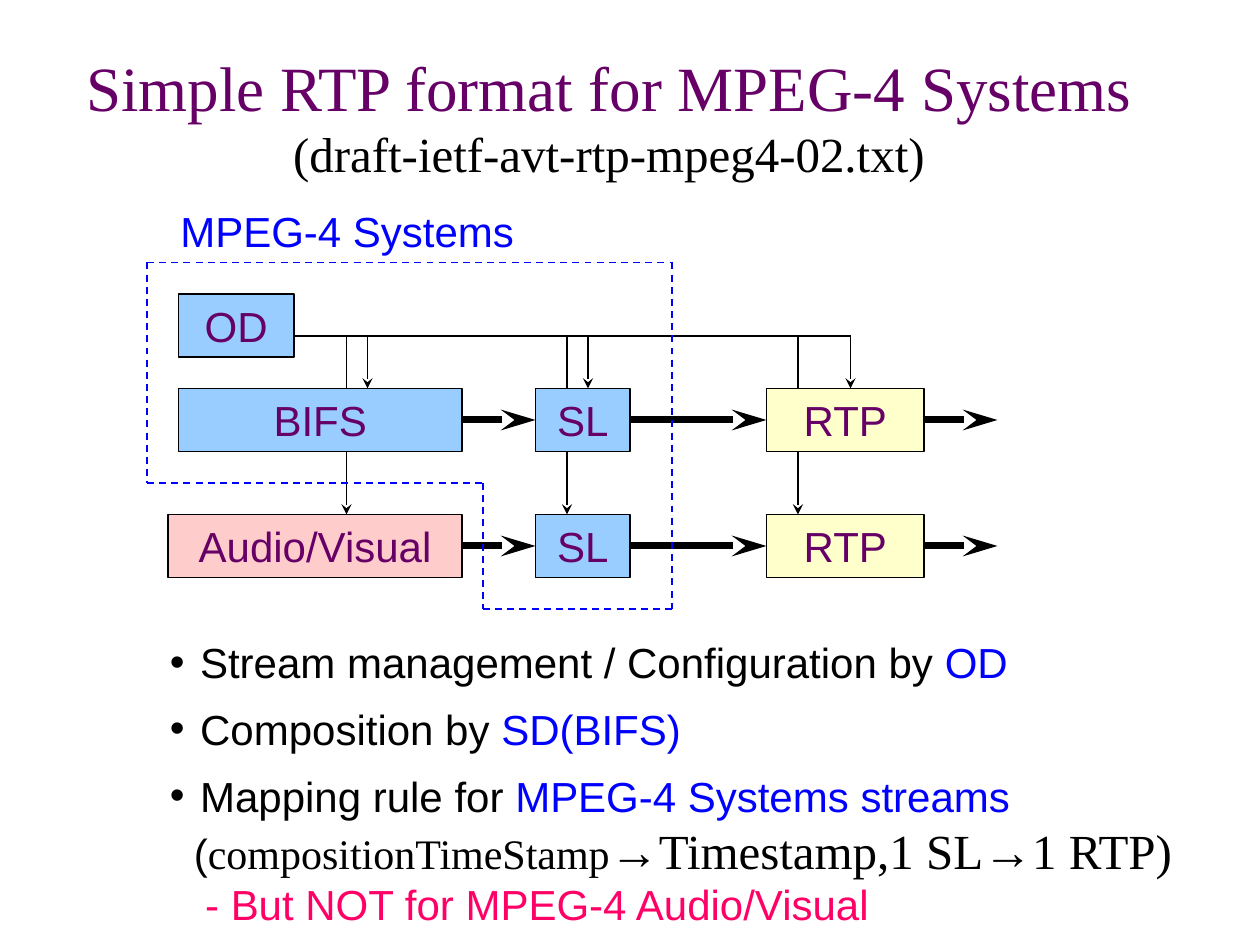
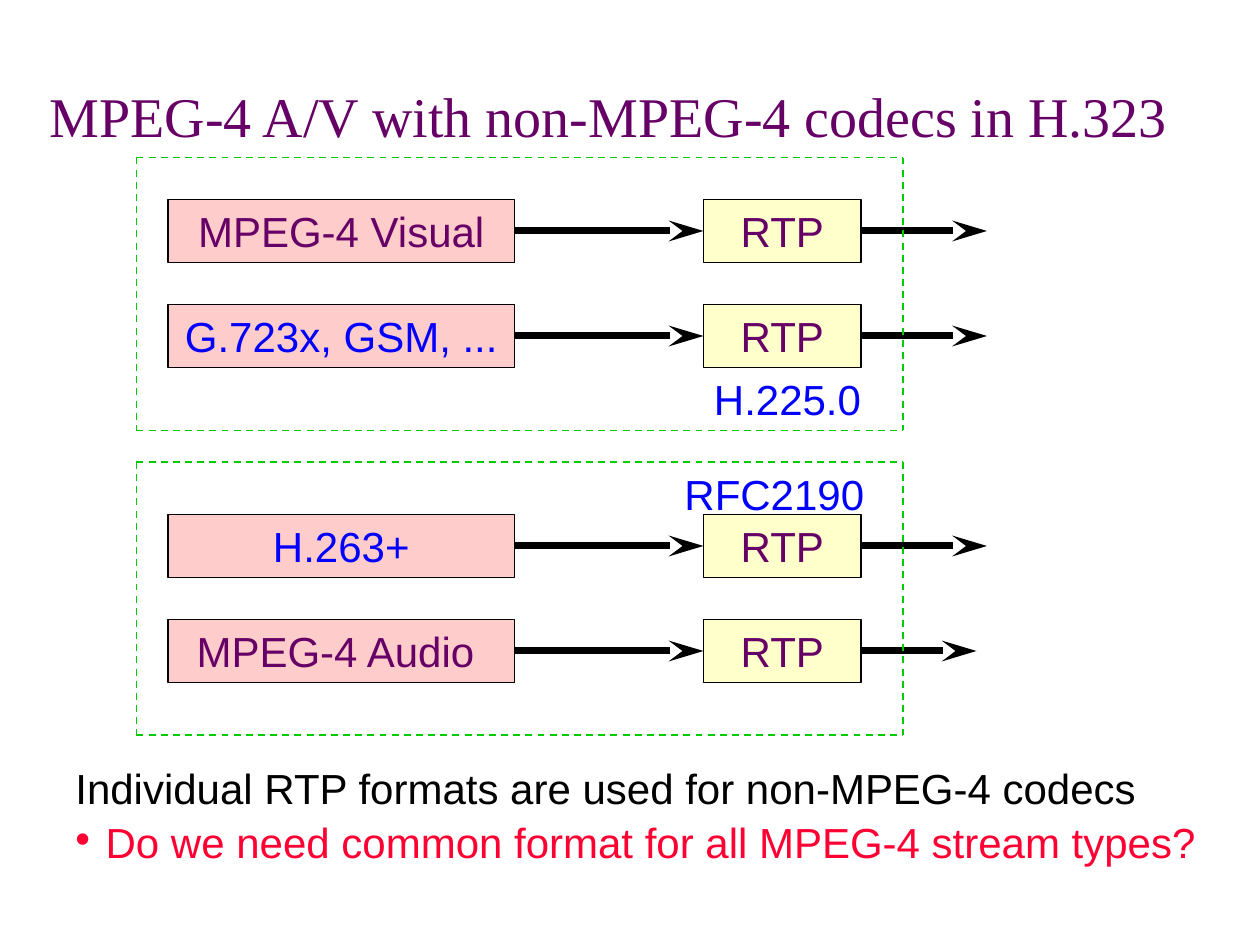
from itertools import pairwise

from lxml.etree import SubElement
from pptx import Presentation
from pptx.dml.color import RGBColor
from pptx.enum.dml import MSO_LINE
from pptx.enum.shapes import MSO_CONNECTOR, MSO_SHAPE
from pptx.enum.text import MSO_ANCHOR, PP_ALIGN
from pptx.oxml.ns import qn
from pptx.util import Inches, Pt

BLACK = RGBColor(0x00, 0x00, 0x00)
PURPLE = RGBColor(0x66, 0x00, 0x66)
BLUE = RGBColor(0x00, 0x00, 0xFF)
GREEN = RGBColor(0x00, 0xCC, 0x00)
PINK = RGBColor(0xFF, 0x00, 0x66)
RED = RGBColor(0xFF, 0x00, 0x33)
SYSTEMS_FILL = RGBColor(0x99, 0xCC, 0xFF)
MEDIA_FILL = RGBColor(0xFF, 0xCC, 0xCC)
RTP_FILL = RGBColor(0xFF, 0xFF, 0xCC)

SANS, SERIF = "Arial", "Times New Roman"

# The slide is a grid of 120 columns by 90 rows of square cells.
CELL = Inches(10) / 120
TITLE_AREA = (1, 3, 114, 16)
BOX_HEIGHT = 6
BULLET_INDENT = Inches(0.24)
THIN, THICK = Pt(1), Pt(4)

prs = Presentation()
prs.slide_width, prs.slide_height = Inches(10), Inches(7.5)
blank = prs.slide_layouts[6]


def write(slide, area, paragraphs, fill=None, align=PP_ALIGN.LEFT, anchor=MSO_ANCHOR.TOP):
    """Add text to a grid area, in a filled box if fill is given.

    A paragraph is (runs, options); a run is (text, colour[, size[, font]]).
    """
    place = [round(n * CELL) for n in area]
    if fill is None:
        shape = slide.shapes.add_textbox(*place)
    else:
        shape = slide.shapes.add_shape(MSO_SHAPE.RECTANGLE, *place)
        shape.shadow.inherit = False
        shape.fill.solid()
        shape.fill.fore_color.rgb = fill
        shape.line.color.rgb = BLACK
        shape.line.width = THIN
    frame = shape.text_frame
    frame.word_wrap = True
    frame.vertical_anchor = anchor

    for i, (runs, options) in enumerate(paragraphs):
        para = frame.add_paragraph() if i else frame.paragraphs[0]
        para.alignment = align
        para.line_spacing = options.get("spacing", 1.0)
        para.space_before = Pt(options.get("before", 15))
        props = para._p.get_or_add_pPr()
        if options.get("bullet"):
            props.set("marL", str(BULLET_INDENT))
            props.set("indent", str(-BULLET_INDENT))
            colour = SubElement(props, qn("a:buClr"))
            SubElement(colour, qn("a:srgbClr"), val=str(runs[0][1]))
            SubElement(props, qn("a:buFont"), typeface=SANS)
            SubElement(props, qn("a:buChar"), char="•")
        elif "indent" in options:
            props.set("marL", str(Inches(options["indent"])))
            props.set("indent", "0")
        for text, colour, *rest in runs:
            size, font = (rest + [24, SANS][len(rest):])
            run = para.add_run()
            run.text = text
            run.font.size = Pt(size)
            run.font.name = font
            run.font.color.rgb = colour


def draw_line(slide, start, end, color=BLACK, width=THIN, arrow=False, dashed=False):
    ends = [round(n * CELL) for n in (*start, *end)]
    line = slide.shapes.add_connector(MSO_CONNECTOR.STRAIGHT, *ends)
    line.line.color.rgb = color
    line.line.width = width
    if dashed:
        line.line.dash_style = MSO_LINE.DASH
    if arrow:
        SubElement(line.line._get_or_add_ln(), qn("a:tailEnd"), type="stealth",
                   w="med", len="lg" if width == THICK else "med")
    SubElement(line._element.spPr, qn("a:effectLst"))


# Slide 1: simple RTP format
systems = prs.slides.add_slide(blank)
write(systems, TITLE_AREA, [
    ([("Simple RTP format for MPEG-4 Systems", PURPLE, 36, SERIF)], {"before": 0}),
    ([("(draft-ietf-avt-rtp-mpeg4-02.txt)", BLACK, 28, SERIF)], {"before": 0}),
], align=PP_ALIGN.CENTER, anchor=MSO_ANCHOR.MIDDLE)

# The OD bus feeds both rows; the long drops pass behind the upper boxes.
BUS, UPPER, LOWER = 32, 37, 49
for x in (33, 54, 76):
    draw_line(systems, (x, BUS), (x, LOWER), arrow=True)
draw_line(systems, (28, BUS), (81, BUS))
for x in (35, 56, 81):
    draw_line(systems, (x, BUS), (x, UPPER), arrow=True)
write(systems, (17, 28, 11, BOX_HEIGHT), [([("OD", PURPLE)], {})],
      SYSTEMS_FILL, PP_ALIGN.CENTER)

# Slide 2: codecs in H.323
codecs = prs.slides.add_slide(blank)
write(codecs, TITLE_AREA, [
    ([("MPEG-4 A/V with non-MPEG-4 codecs in H.323", PURPLE, 32, SERIF)], {"before": 0}),
], align=PP_ALIGN.CENTER, anchor=MSO_ANCHOR.MIDDLE)

# Both slides: rows of boxes linked by thick arrows
sl = ("SL", 51, 9, SYSTEMS_FILL, PURPLE)
systems_rtp = ("RTP", 73, 15, RTP_FILL, PURPLE)
codec_rtp = ("RTP", 67, 15, RTP_FILL, PURPLE)
streams = [
    (systems, UPPER, 95, [("BIFS", 17, 27, SYSTEMS_FILL, PURPLE), sl, systems_rtp]),
    (systems, LOWER, 95, [("Audio/Visual", 16, 28, MEDIA_FILL, PURPLE), sl, systems_rtp]),
    (codecs, 19, 94, [("MPEG-4 Visual", 16, 33, MEDIA_FILL, PURPLE), codec_rtp]),
    (codecs, 29, 94, [("G.723x, GSM, ... ", 16, 33, MEDIA_FILL, BLUE), codec_rtp]),
    (codecs, 49, 94, [("H.263+", 16, 33, MEDIA_FILL, BLUE), codec_rtp]),
    (codecs, 59, 93, [("MPEG-4 Audio ", 16, 33, MEDIA_FILL, PURPLE), codec_rtp]),
]
for slide, top, output, stages in streams:
    middle = top + BOX_HEIGHT / 2
    targets = [stage[1] for stage in stages[1:]] + [output]
    for (label, left, width, fill, color), target in zip(stages, targets):
        write(slide, (left, top, width, BOX_HEIGHT), [([(label, color)], {})],
              fill, PP_ALIGN.CENTER)
        draw_line(slide, (left + width, middle), (target, middle), width=THICK, arrow=True)

# Both slides: dashed outlines around the groups
outlines = [(systems, BLUE, [(14, 25), (64, 25), (64, 58), (46, 58), (46, 46), (14, 46)])]
for top, bottom in ((15, 41), (44, 70)):
    outlines.append((codecs, GREEN, [(13, top), (86, top), (86, bottom), (13, bottom)]))
for slide, color, corners in outlines:
    for start, end in pairwise(corners + corners[:1]):
        # Dashes run from the upper left end of each side.
        draw_line(slide, *sorted((start, end)), color=color, dashed=True)

# Both slides: group labels
for slide, label, area, align in (
    (systems, "MPEG-4 Systems", (16, 19, 41, 6), PP_ALIGN.LEFT),
    (codecs, "H.225.0", (66, 35, 18, 6), PP_ALIGN.CENTER),
    (codecs, "RFC2190", (64, 44, 20, 6), PP_ALIGN.LEFT),
):
    write(slide, area, [([(label, BLUE)], {})], align=align)

# Both slides: conclusions
point = {"spacing": 0.8, "bullet": True}
write(systems, (15, 61, 101, 28), [
    ([("Stream management / Configuration by ", BLACK), ("OD", BLUE)], point),
    ([("Composition by ", BLACK), ("SD(BIFS)", BLUE)], point),
    ([("Mapping rule for ", BLACK), ("MPEG-4 Systems streams", BLUE)], point),
    ([("(", BLACK), ("compositionTimeStamp", BLACK, 24, SERIF), ("→", BLACK, 28),
      ("Timestamp,1 SL", BLACK, 28, SERIF), ("→", BLACK, 28),
      ("1 RTP)", BLACK, 28, SERIF)],
     {"spacing": 0.4, "before": 17.5, "indent": 0.19}),
    ([("- But NOT for MPEG-4 Audio/Visual", PINK)], {"spacing": 0.5, "indent": 0.28}),
])
write(codecs, (6, 72, 111, 11), [
    ([("Individual RTP formats are used for non-MPEG-4 codecs", BLACK)], {}),
    ([("Do we need common format for all MPEG-4 stream types?", RED)],
     {"spacing": 0.5, "bullet": True}),
])

prs.save("out.pptx")
